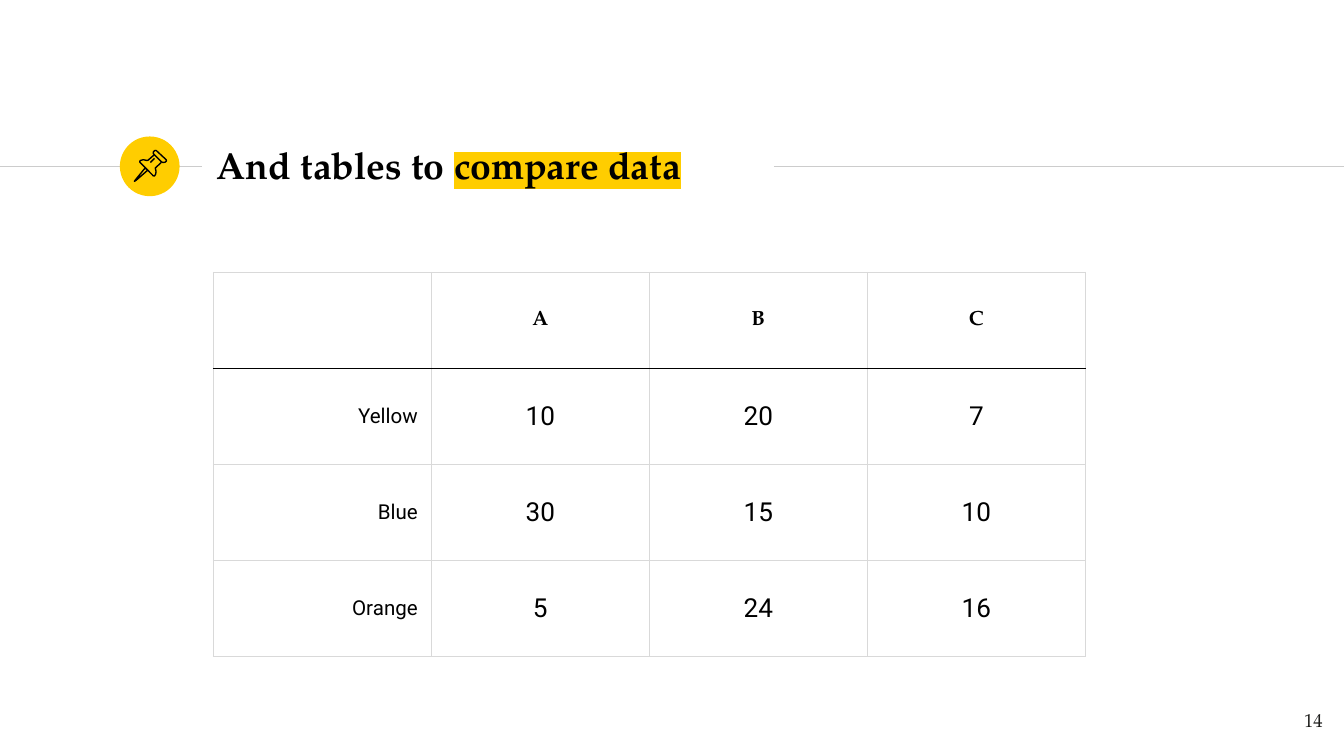
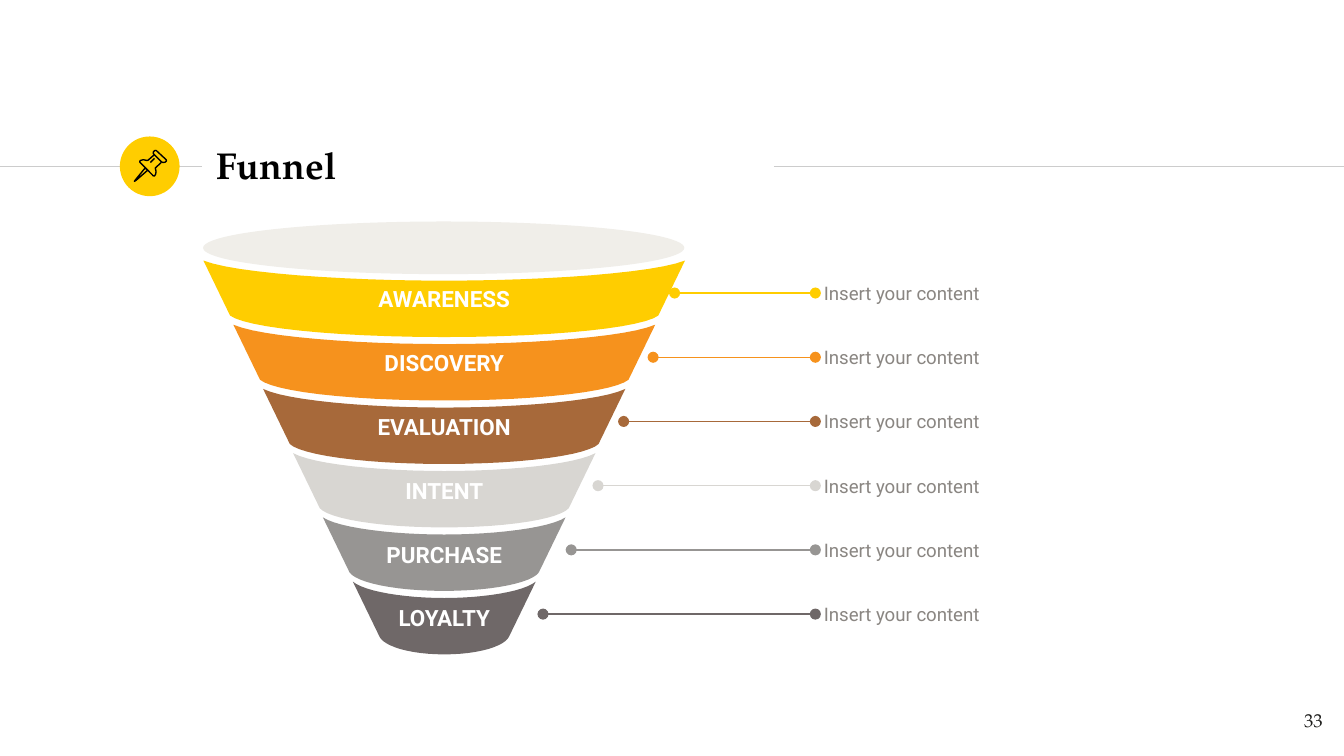
from lxml import etree
from pptx import Presentation
from pptx.dml.color import RGBColor
from pptx.enum.shapes import MSO_CONNECTOR, MSO_SHAPE
from pptx.enum.text import MSO_ANCHOR, PP_ALIGN
from pptx.oxml.ns import qn
from pptx.util import Pt

COLORS = {
    "yellow": "FFCD00", "orange": "F6921D", "brown": "A7693A",
    "silver": "D8D6D2", "gray": "979593", "charcoal": "6F6868",
    "rim": "F0EEE9", "rule": "CCCCCC", "grid": "D9D9D9",
    "black": "000000", "white": "FFFFFF", "caption": "8A8682", "page": "1D1D1B",
}
RGB = {name: RGBColor.from_string(value) for name, value in COLORS.items()}
SERIF, SANS = "TeX Gyre Pagella", "Roboto"
FORMATS = {
    "title": ({"name": SERIF, "size": Pt(20), "bold": True}, "black", PP_ALIGN.LEFT),
    "page": ({"name": SERIF, "size": Pt(10), "bold": False}, "page", PP_ALIGN.RIGHT),
    "header": ({"name": SERIF, "size": Pt(11), "bold": True}, "black", PP_ALIGN.CENTER),
    "row": ({"name": SANS, "size": Pt(11), "bold": False}, "black", PP_ALIGN.RIGHT),
    "value": ({"name": SANS, "size": Pt(14), "bold": False}, "black", PP_ALIGN.CENTER),
    "stage": ({"name": SANS, "size": Pt(12), "bold": True}, "white", PP_ALIGN.CENTER),
    "caption": ({"name": SANS, "size": Pt(10), "bold": False}, "caption", PP_ALIGN.LEFT),
}
MARGINS = ("margin_left", "margin_right", "margin_top", "margin_bottom")


def write(frame, text, style, inset_x, inset_y, anchor=MSO_ANCHOR.MIDDLE):
    font_values, color, align = FORMATS[style]
    frame.word_wrap = True
    frame.vertical_anchor = anchor
    for side, inset in zip(MARGINS, (inset_x, inset_x, inset_y, inset_y)):
        setattr(frame, side, Pt(inset))
    paragraph = frame.paragraphs[0]
    paragraph.alignment = align
    run = paragraph.add_run()
    run.text = text
    for attribute, value in font_values.items():
        setattr(run.font, attribute, value)
    run.font.color.rgb = RGB[color]
    return run


def draw_line(slide, start, end, y, color, dotted=False):
    line = slide.shapes.add_connector(
        MSO_CONNECTOR.STRAIGHT, Pt(start), Pt(y), Pt(end), Pt(y))
    line.line.width = Pt(0.75)
    line.line.color.rgb = RGB[color]
    properties = line.element.spPr
    if dotted:
        for end_tag in ("a:headEnd", "a:tailEnd"):
            etree.SubElement(properties.find(qn("a:ln")), qn(end_tag), type="oval")
    etree.SubElement(properties, qn("a:effectLst"))


PUSHPIN = [
    ([(77.8, 90), (72.6, 96.4), (72, 97.2), (73, 96.6), (79.1, 91.3)], True),
    ([(82.6, 82.8), (86.6, 86.8), (87.5, 87.1), (88.6, 86.9), (89.2, 86.2),
      (89.1, 85.6), (83.8, 80.7), (83.1, 80.6), (82.3, 81.2), (82.1, 82.1)], True),
    ([(82.8, 82.8), (79.3, 85.9), (78.5, 86), (76.8, 85.6), (75.2, 86),
      (74.8, 86.6), (75, 87), (82.1, 94.2), (82.8, 94.3), (83.4, 93.3),
      (83.6, 92), (83.2, 90), (86.4, 87.1)], False),
    ([(80.6, 87.1), (82.8, 84.9)], False),
]

deck = Presentation()
deck.slide_width, deck.slide_height = Pt(720), Pt(405)

slides = []
for heading, marked, page in [
    ("And tables to ", "compare data", "14"),
    ("Funnel", "", "33"),
]:
    slide = deck.slides.add_slide(deck.slide_layouts[6])
    slides.append(slide)
    draw_line(slide, 0, 108, 89.2, "rule")
    badge = slide.shapes.add_shape(MSO_SHAPE.OVAL, Pt(64.2), Pt(73.1), Pt(32), Pt(32))
    badge.shadow.inherit = False
    badge.fill.solid()
    badge.fill.fore_color.rgb = RGB["yellow"]
    badge.line.fill.background()
    draw_line(slide, 414.6, 720, 89.2, "rule")

    title = slide.shapes.add_textbox(Pt(108.7), Pt(70.6), Pt(305.3), Pt(34.6))
    write(title.text_frame, heading, "title", 7.2, 7.2)
    if marked:
        run = write(title.text_frame, marked, "title", 7.2, 7.2)
        highlight = etree.Element(qn("a:highlight"))
        etree.SubElement(highlight, qn("a:srgbClr"), val=COLORS["yellow"])
        run.font.color.rgb = RGB["black"]
        run.font.fill
        run_properties = run.font._element
        run_properties.find(qn("a:latin")).addprevious(highlight)

    pushpin = slide.shapes.add_group_shape()
    for points, closed in PUSHPIN:
        corners = [(Pt(x), Pt(y)) for x, y in points]
        outline = pushpin.shapes.build_freeform(*corners[0])
        outline.add_line_segments(corners[1:], close=closed)
        part = outline.convert_to_shape()
        part.shadow.inherit = False
        part.fill.background()
        part.line.width = Pt(0.75)
        part.line.color.rgb = RGB["black"]

    number = slide.shapes.add_textbox(Pt(672.5), Pt(373.7), Pt(43.2), Pt(31))
    write(number.text_frame, page, "page", 7.2, 7.2, MSO_ANCHOR.TOP)

compare, funnel = slides

ROWS = [
    ("", "A", "B", "C"),
    ("Yellow", "10", "20", "7"),
    ("Blue", "30", "15", "10"),
    ("Orange", "5", "24", "16"),
]
COLUMN, ROW = 116.8, 51.4
table = compare.shapes.add_table(
    4, 4, Pt(114.3), Pt(146), Pt(4 * COLUMN), Pt(4 * ROW)).table
table.first_row = table.horz_banding = False
for column in table.columns:
    column.width = Pt(COLUMN)
for r, values in enumerate(ROWS):
    table.rows[r].height = Pt(ROW)
    for c, value in enumerate(values):
        cell = table.cell(r, c)
        if value:
            style = "header" if r == 0 else "row" if c == 0 else "value"
            write(cell.text_frame, value, style, 7.2, 5)
        cell.vertical_anchor = MSO_ANCHOR.MIDDLE
        for side, inset in zip(MARGINS, (7.2, 7.2, 5, 5)):
            setattr(cell, side, Pt(inset))
        borders = cell._tc.get_or_add_tcPr()
        for edge in "LRTB":
            under_header = (r, edge) in ((0, "B"), (1, "T"))
            border = etree.SubElement(borders, qn(f"a:ln{edge}"), w=str(Pt(0.75)))
            paint = etree.SubElement(border, qn("a:solidFill"))
            etree.SubElement(paint, qn("a:srgbClr"),
                             val=COLORS["black" if under_header else "grid"])
        cell.fill.background()

STAGES = [
    ("AWARENESS", "yellow", 361.4),
    ("DISCOVERY", "orange", 349.9),
    ("EVALUATION", "brown", 334.1),
    ("INTENT", "silver", 320.4),
    ("PURCHASE", "gray", 306),
    ("LOYALTY", "charcoal", 290.9),
]
CENTER, STEPS = 238, 12
cone = funnel.shapes.add_group_shape()
for i, (stage, color, pointer) in enumerate(STAGES):
    half, top, sag = 129 - 16 * i, 139.6 + 34.4 * i, 10.8 - 0.4 * i
    shoulder = top + 29.5
    bottom_sag = top + sag + 30.2 - shoulder
    edges = []
    for width, y, depth, outer, lift, inner in [
        (half, top, sag, 0.87, 0.62, 0.42),
        (half - 14.3, shoulder, bottom_sag, 0.93, 0.53, 0.54),
    ]:
        curve = []
        for step in range(STEPS + 1):
            t = step / STEPS
            u = 1 - t
            reach = u**3 + 3 * u * u * t * outer + 3 * u * t * t * inner
            drop = 3 * u * u * t * lift + 3 * u * t * t + t**3
            curve.append((width * reach, y + depth * drop))
        left = [(Pt(CENTER - x), Pt(y)) for x, y in curve]
        right = [(Pt(CENTER + x), Pt(y)) for x, y in curve[-2::-1]]
        edges.append(left + right)
    rim_edge, base_edge = edges
    outline = cone.shapes.build_freeform(*rim_edge[0])
    outline.add_line_segments(rim_edge[1:] + base_edge[::-1])
    band = outline.convert_to_shape()
    band.shadow.inherit = False
    band.fill.solid()
    band.fill.fore_color.rgb = RGB[color]
    band.line.fill.background()
    write(band.text_frame, stage, "stage", 5, 2.9)

    pointer_y = 157 + 34.4 * i
    draw_line(funnel, pointer, 436.8, pointer_y, color, dotted=True)
    caption = funnel.shapes.add_textbox(
        Pt(441.4), Pt(pointer_y - 12.2), Pt(199.4), Pt(24.5))
    write(caption.text_frame, "Insert your content", "caption", 0, 0)

mouth = cone.shapes.add_shape(
    MSO_SHAPE.OVAL, Pt(108.8), Pt(118.7), Pt(257.8), Pt(28.2))
mouth.shadow.inherit = False
mouth.fill.solid()
mouth.fill.fore_color.rgb = RGB["rim"]
mouth.line.fill.background()

deck.save("out.pptx")
